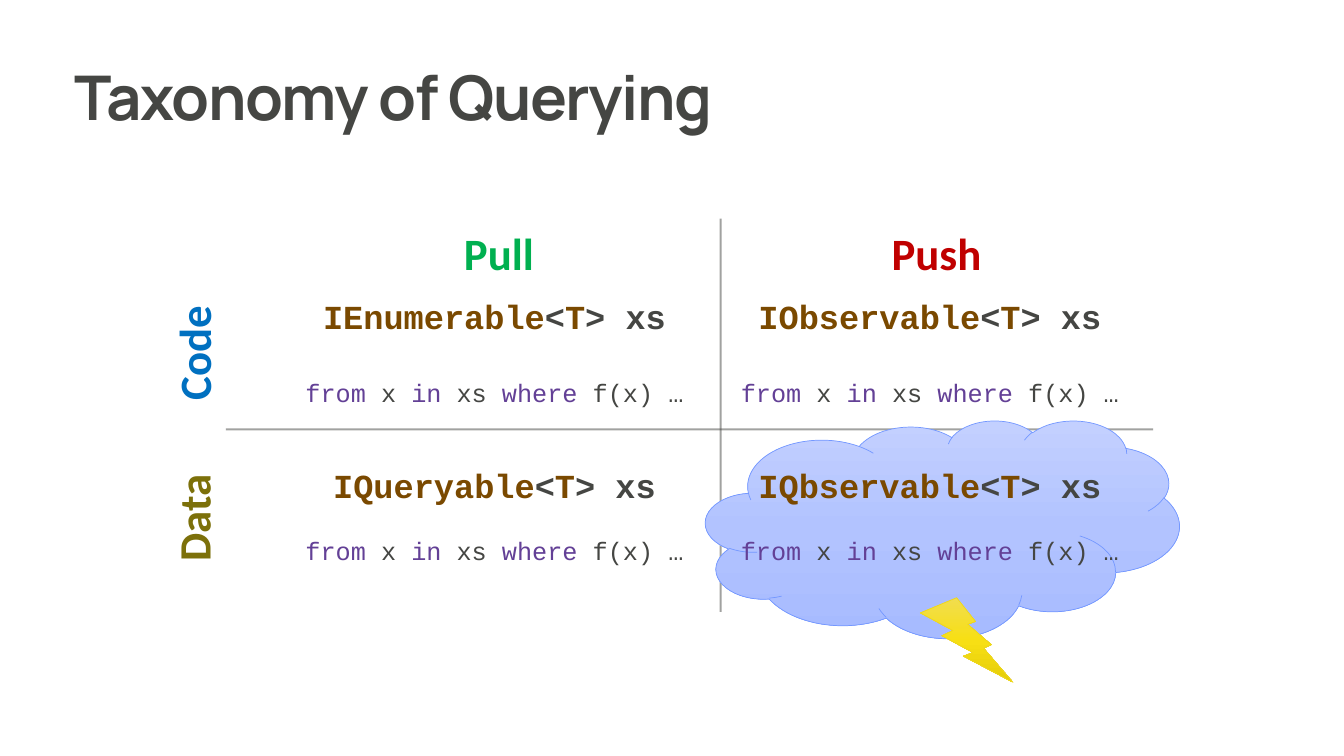
from copy import deepcopy
from lxml import etree
from pptx import Presentation
from pptx import util as u
from pptx.dml.color import RGBColor
from pptx.enum import shapes, text
from pptx.oxml import ns

GREY = RGBColor(0x45, 0x46, 0x43)
BROWN = RGBColor(0x7A, 0x49, 0x00)
PURPLE = RGBColor(0x63, 0x40, 0x96)
BLUE = RGBColor(0x00, 0x70, 0xC0)
OLIVE = RGBColor(0x7C, 0x70, 0x0A)
GREEN = RGBColor(0x00, 0xB0, 0x50)
RED = RGBColor(0xC0, 0x00, 0x00)
CLOUD_FILL = (RGBColor(0xC3, 0xD0, 0xFF), RGBColor(0xB2, 0xC3, 0xFF), RGBColor(0xA7, 0xBB, 0xFF))
CLOUD_LINE = RGBColor(0x74, 0x98, 0xFF)
BOLT_FILL = (RGBColor(0xF1, 0xDD, 0x4F), RGBColor(0xF7, 0xDF, 0x14), RGBColor(0xE5, 0xCD, 0x08))
BOLT_LINE = RGBColor(0xED, 0xD7, 0x1E)

QUERY = (("from ", PURPLE), ("x ", GREY), ("in ", PURPLE), ("xs ", GREY),
         ("where", PURPLE), (" f(x) …", GREY))


class Painter:
    """Draws styled elements on a page divided into 160 columns and 90 rows."""

    title_font, label_font, code_font = "Manrope", "Calibri", "Courier New"

    def __init__(self, deck):
        deck.slide_width, deck.slide_height = u.Inches(13.333), u.Inches(7.5)
        self.column = deck.slide_width / 160
        self.row = deck.slide_height / 90
        self.page = deck.slides.add_slide(deck.slide_layouts[6])

    def place(self, left, top, width, height):
        return (round(left * self.column), round(top * self.row),
                round(width * self.column), round(height * self.row))

    def box(self, area, wrap=True, grow=True):
        box = self.page.shapes.add_textbox(*self.place(*area))
        box.text_frame.word_wrap = wrap
        if grow:
            box.text_frame.auto_size = text.MSO_AUTO_SIZE.SHAPE_TO_FIT_TEXT
        return box

    def style(self, span, font, size, color, bold=True):
        span.font.name, span.font.size = font, u.Pt(size)
        span.font.color.rgb, span.font.bold = color, bold

    def title(self, words, area):
        frame = self.box(area, grow=False).text_frame
        frame.vertical_anchor = text.MSO_ANCHOR.MIDDLE
        para = frame.paragraphs[0]
        para.text = words
        para.line_spacing = 0.9
        span = para.runs[0]
        self.style(span, self.title_font, 44, GREY)
        span.font._element.set("spc", "-100")

    def label(self, words, color, area, rotation=0):
        box = self.box(area, wrap=False)
        box.rotation = rotation
        para = box.text_frame.paragraphs[0]
        para.text = words
        para.alignment = text.PP_ALIGN.CENTER
        self.style(para.runs[0], self.label_font, 32, color)

    def code(self, type_name, area, gap):
        frame = self.box(area).text_frame
        declaration = ((type_name, BROWN), ("<", GREY), ("T", BROWN), ("> xs", GREY))
        heading, query = frame.paragraphs[0], frame.add_paragraph()
        for para, parts, size, bold in ((heading, declaration, 24, True),
                                        (query, QUERY, 18, False)):
            para.alignment = text.PP_ALIGN.CENTER
            for words, color in parts:
                span = para.add_run()
                span.text = words
                self.style(span, self.code_font, size, color, bold)
        query.space_before = u.Pt(gap)

    def axis(self, left, top, width, height):
        x, y, run, rise = self.place(left, top, width, height)
        line = self.page.shapes.add_connector(
            shapes.MSO_CONNECTOR.STRAIGHT, x, y, x + run, y + rise)
        line.line.color.rgb = GREY
        line.line.width = u.Pt(1.5)
        properties = line._element.spPr
        color = properties.find(".//" + ns.qn("a:srgbClr"))
        etree.SubElement(color, ns.qn("a:alpha")).set("val", "50000")
        etree.SubElement(properties, ns.qn("a:effectLst"))

    def shape(self, kind, area, colors, outline):
        shape = self.page.shapes.add_shape(kind, *self.place(*area))
        shape.shadow.inherit = False
        shape.fill.gradient()
        shape.fill.gradient_angle = 270
        stops = shape._element.spPr.find(".//" + ns.qn("a:gsLst"))
        stops.append(deepcopy(stops[-1]))
        for index, (stop, color) in enumerate(zip(shape.fill.gradient_stops, colors)):
            stop.color.rgb, stop.position = color, index / 2
        shape.line.color.rgb = outline
        shape.line.width = u.Pt(0.5)


def main():
    deck = Presentation()
    painter = Painter(deck)
    painter.title("Taxonomy of Querying", (7.68, 4.68, 98.52, 14.52))
    painter.axis(85.8, 26.04, 0, 46.8)
    painter.axis(26.88, 51.12, 110.4, 0)

    code_row, data_row = (34.68, 14.52, 29.3), (54.72, 13.32, 22)

    def code_column(left, names):
        for name, (top, height, gap) in zip(names, (code_row, data_row)):
            painter.code(name, (left, top, 47.64, height), gap)

    code_column(35.04, ("IEnumerable", "IQueryable"))
    painter.shape(shapes.MSO_SHAPE.CLOUD, (84, 50.04, 56.4, 25.92), CLOUD_FILL, CLOUD_LINE)
    code_column(86.88, ("IObservable", "IQbservable"))

    painter.label("Code", BLUE, (15.36, 38.16, 15.36, 7.68), 270)
    painter.label("Data", OLIVE, (15.84, 57.84, 14.28, 7.68), 270)
    painter.label("Pull", GREEN, (53.4, 26.28, 12, 7.68))
    painter.label("Push", RED, (104.16, 26.28, 14.64, 7.68))
    painter.shape(shapes.MSO_SHAPE.LIGHTNING_BOLT, (109.56, 71.16, 11.04, 10.08),
                  BOLT_FILL, BOLT_LINE)
    deck.save("out.pptx")


if __name__ == "__main__":
    main()
